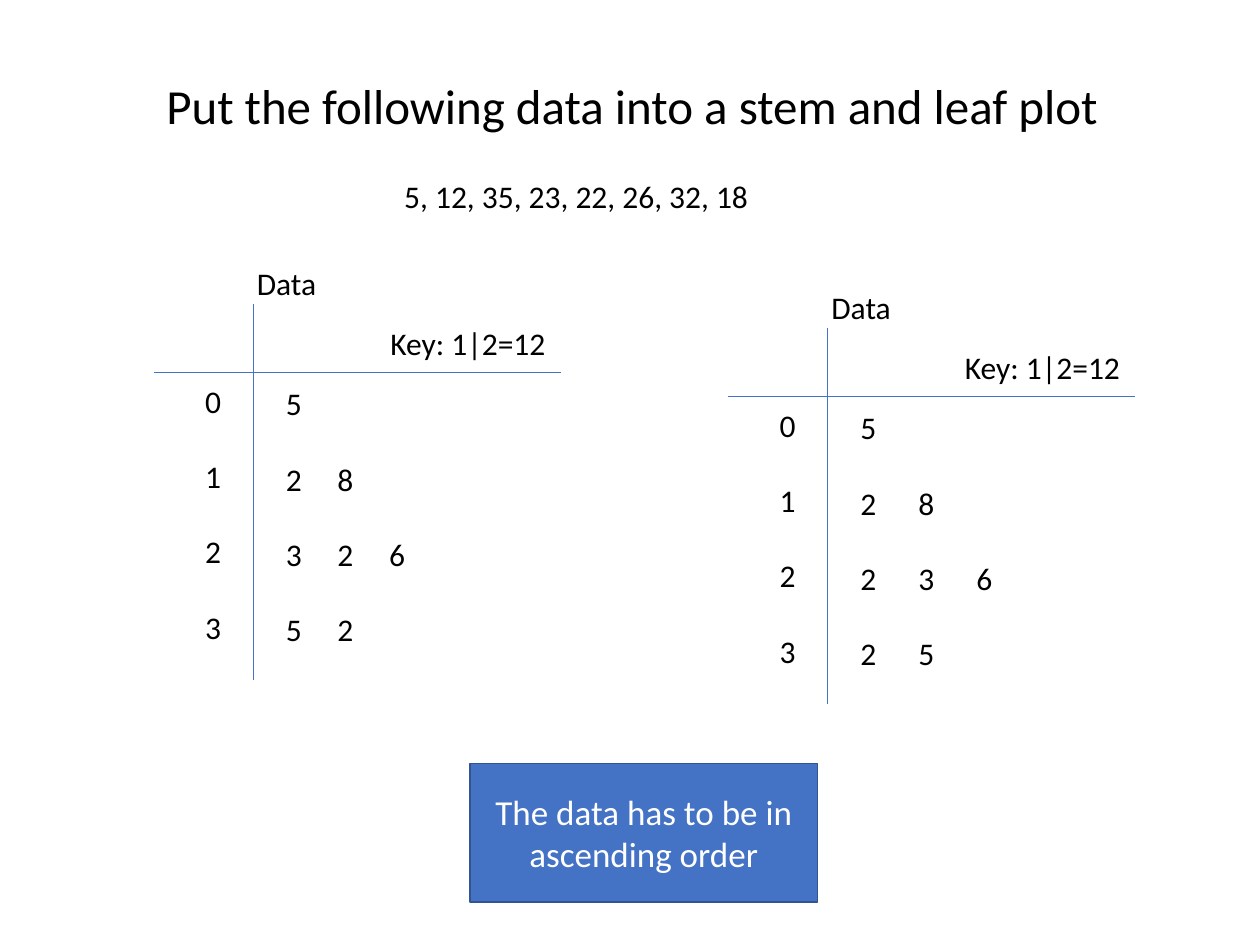
from lxml import etree
from pptx import Presentation
from pptx.dml.color import RGBColor
from pptx.enum import shapes, text
from pptx.oxml.ns import qn
from pptx.util import Inches, Pt

BLACK = RGBColor(0x00, 0x00, 0x00)
WHITE = RGBColor(0xFF, 0xFF, 0xFF)
BLUE = RGBColor(0x44, 0x72, 0xC4)
NAVY = RGBColor(0x32, 0x54, 0x91)

ROW_GAP = Pt(21.5)
KEY = "Key: 1|2=12"
STEMS = ["0", "1", "2", "3"]
# left, top, gap between leaves, leaves of each stem
PLOTS = [
    (1.22, 2.05, 0.41, ["5", "2 8", "3 2 6", "5 2"]),
    (5.78, 2.24, 0.46, ["5", "2 8", "2 3 6", "2 5"]),
]


def style(font, size, color=BLACK):
    for name, value in {"name": "Calibri", "size": Pt(size)}.items():
        setattr(font, name, value)
    font.color.rgb = color


def add_tabs(para, gap, count):
    tabs = etree.SubElement(para._p.get_or_add_pPr(), qn("a:tabLst"))
    for n in range(1, count + 1):
        etree.SubElement(tabs, qn("a:tab"), pos=str(Inches(gap * n)), algn="l")


def add_text(slide, box, lines, gap=None):
    """Write one paragraph per line; gap sets the tab stops between leaves."""
    frame = slide.shapes.add_textbox(*map(Inches, box)).text_frame
    frame.word_wrap = False
    for n, line in enumerate(lines):
        para = frame.add_paragraph() if n else frame.paragraphs[0]
        para.text = line
        if n:
            para.space_before = ROW_GAP
        if gap:
            add_tabs(para, gap, line.count("\t"))
        style(para.font, 18)


def add_line(slide, *ends):
    line = slide.shapes.add_connector(
        shapes.MSO_CONNECTOR.STRAIGHT, *map(Inches, ends))
    line.line.color.rgb = BLUE
    line.line.width = Pt(0.5)
    etree.SubElement(line._element.spPr, qn("a:effectLst"))


def add_plot(slide, left, top, gap, leaves):
    stem, rule = left + 0.79, top + 0.91
    add_line(slide, stem, top + 0.36, stem, top + 3.35)
    add_line(slide, left, rule, left + 3.23, rule)
    add_text(slide, (left + 0.31, top + 0.93, 0.33, 2.22), STEMS)
    add_text(slide, (left + 1.78, top + 0.47, 1.45, 0.4), [KEY])
    add_text(slide, (left + 0.72, top, 0.68, 0.4), ["Data"])
    rows = [row.replace(" ", "\t") for row in leaves]
    add_text(slide, (left + 0.95, top + 0.95, 1.6, 2.22), rows, gap)


def add_title(slide, words):
    title = slide.shapes.title
    place = {"left": 1.22, "top": 0.55, "width": 7.67, "height": 0.57}
    for name, value in place.items():
        setattr(title, name, Inches(value))
    frame = title.text_frame
    frame.text = words
    frame.word_wrap = False
    frame.vertical_anchor = text.MSO_ANCHOR.TOP
    frame.auto_size = text.MSO_AUTO_SIZE.NONE
    para = frame.paragraphs[0]
    para.alignment = text.PP_ALIGN.LEFT
    style(para.font, 28)


def add_note(slide, box, words):
    note = slide.shapes.add_shape(
        shapes.MSO_SHAPE.RECTANGLE, *map(Inches, box))
    note.shadow.inherit = False
    note.fill.solid()
    note.fill.fore_color.rgb = BLUE
    note.line.color.rgb = NAVY
    note.line.width = Pt(1)
    frame = note.text_frame
    frame.text = words
    frame.word_wrap = True
    frame.vertical_anchor = text.MSO_ANCHOR.MIDDLE
    para = frame.paragraphs[0]
    para.alignment = text.PP_ALIGN.CENTER
    style(para.font, 20, WHITE)


def main():
    deck = Presentation()
    deck.slide_width, deck.slide_height = Inches(10), Inches(7.5)
    slide = deck.slides.add_slide(deck.slide_layouts[5])
    add_title(slide, "Put the following data into a stem and leaf plot")
    add_text(slide, (3.11, 1.36, 3.03, 0.4), ["5, 12, 35, 23, 22, 26, 32, 18"])
    for plot in PLOTS:
        add_plot(slide, *plot)
    add_note(slide, (3.73, 6.06, 2.76, 1.1),
             "The data has to be in ascending order")
    deck.save("out.pptx")


if __name__ == "__main__":
    main()
